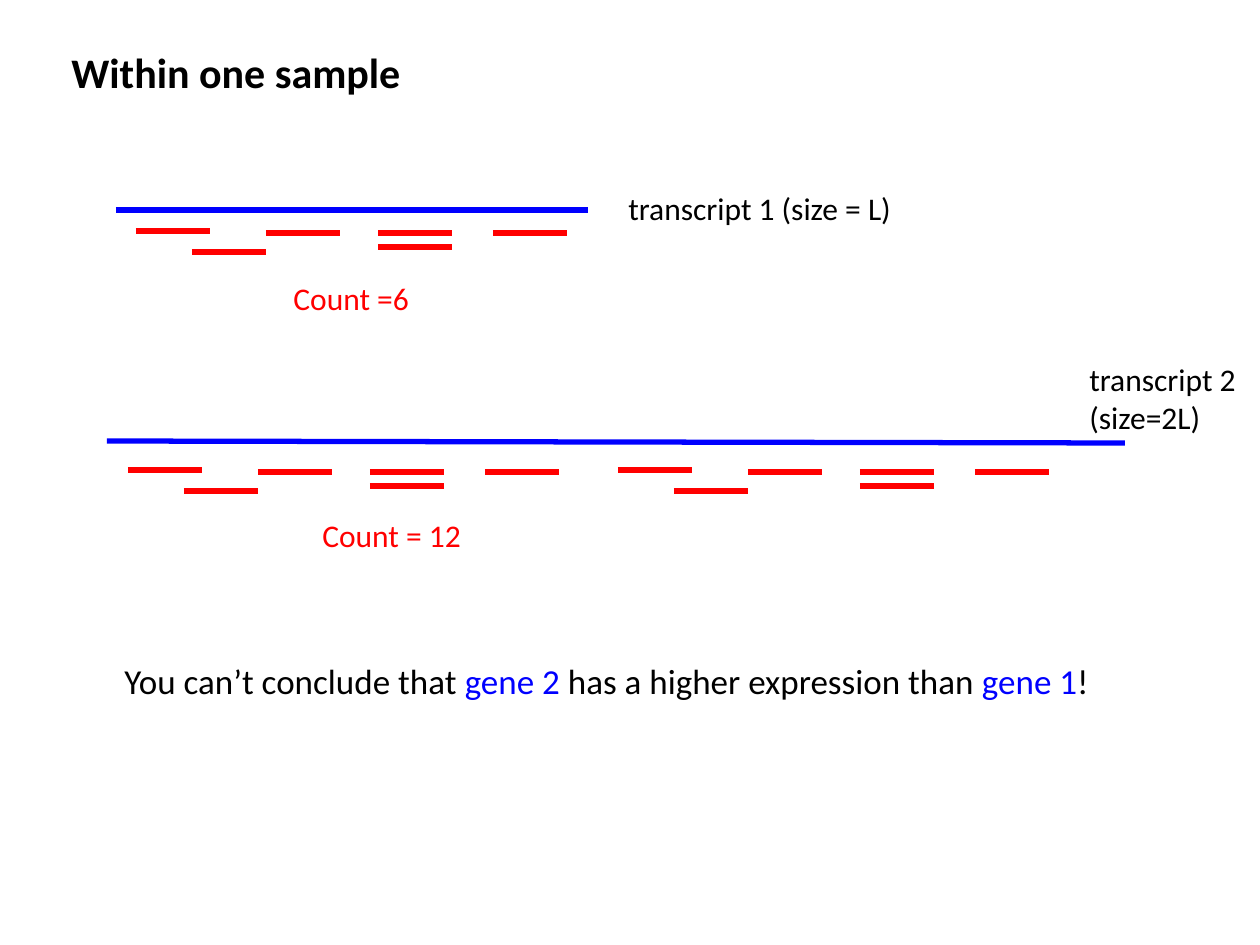
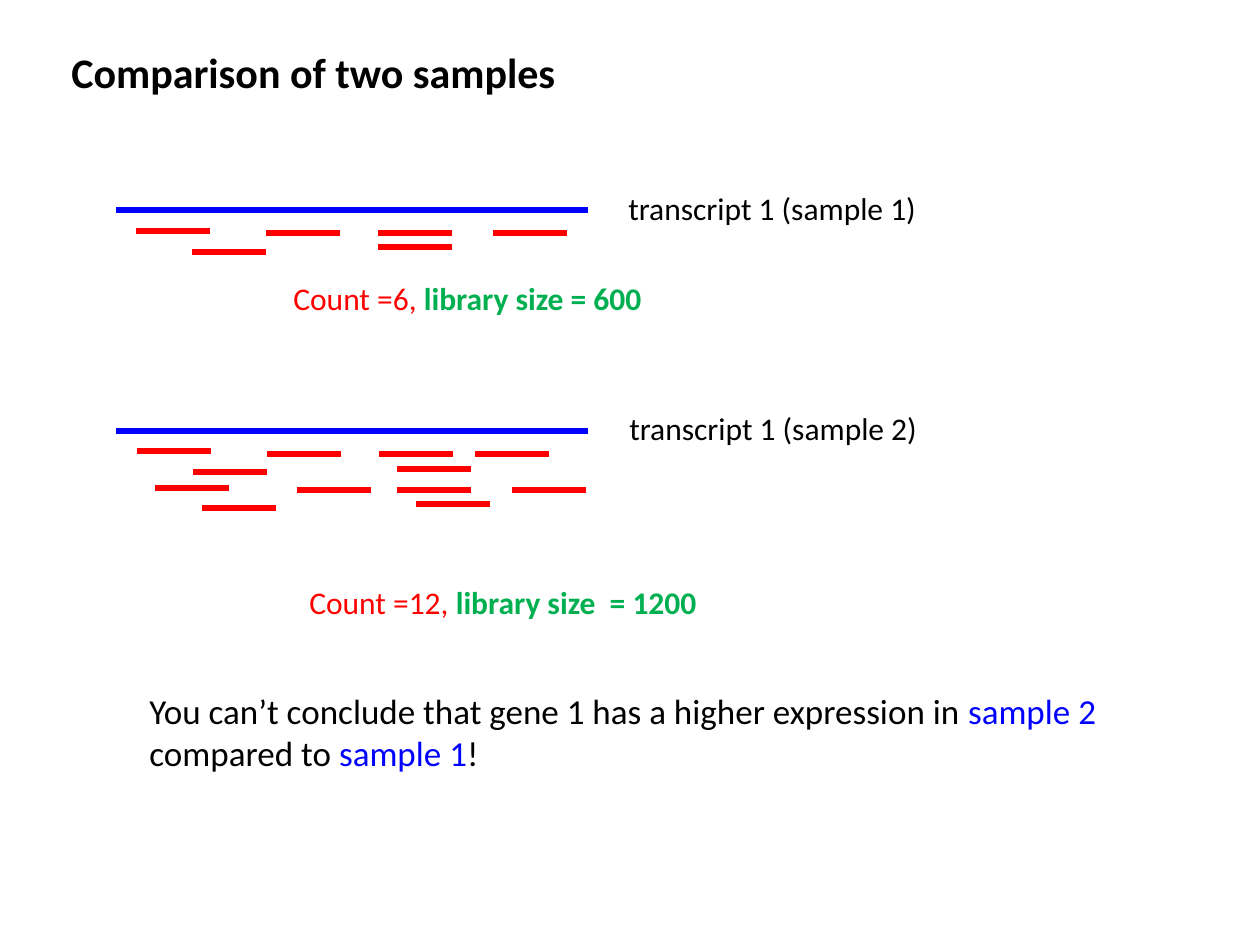
"""Builds two slides on why read counts need normalising within and between samples."""
from dataclasses import dataclass

from lxml import etree
from pptx import Presentation
from pptx.dml.color import RGBColor
from pptx.enum.shapes import MSO_CONNECTOR
from pptx.enum.text import MSO_AUTO_SIZE
from pptx.oxml.ns import qn
from pptx.util import Pt

STRAIGHT = MSO_CONNECTOR.STRAIGHT
GROW = MSO_AUTO_SIZE.SHAPE_TO_FIT_TEXT
PX = 914400 / 126
READ_LENGTH = 74


@dataclass(frozen=True)
class Theme:
    font: str = "Calibri"
    ink: str = "000000"
    transcript: str = "0000FF"
    read: str = "FF0000"
    library: str = "00B050"
    title: int = 24
    label: int = 18
    conclusion: int = 20
    line: int = 3


THEME = Theme()
INK, BLUE, RED, GREEN = THEME.ink, THEME.transcript, THEME.read, THEME.library


def add_line(page, start_x, start_y, end_x, end_y, colour):
    ends = [round(value * PX) for value in (start_x, start_y, end_x, end_y)]
    line = page.shapes.add_connector(STRAIGHT, *ends)
    line.line.color.rgb = RGBColor.from_string(colour)
    line.line.width = Pt(THEME.line)
    etree.SubElement(line._element.spPr, qn("a:effectLst"))


def add_text(page, left, top, width, height, size, paragraphs):
    place = [round(value * PX) for value in (left, top, width, height)]
    frame = page.shapes.add_textbox(*place).text_frame
    frame.word_wrap = False
    frame.auto_size = GROW
    for index, spans in enumerate(paragraphs):
        para = frame.add_paragraph() if index else frame.paragraphs[0]
        for text, colour in spans:
            span = para.add_run()
            span.text = text
            span.font.name = THEME.font
            span.font.size = Pt(size)
            span.font.bold = size == THEME.title or colour == GREEN
            span.font.color.rgb = RGBColor.from_string(colour)


SIX_READS = [(0, 0), (56, 21), (130, 2), (242, 2), (242, 16), (357, 2)]
UPPER_READS = [(0, 0), (56, 21), (130, 3), (242, 3), (260, 18), (338, 3)]
LOWER_READS = [(0, 0), (47, 20), (142, 2), (242, 2), (261, 16), (357, 2)]
FIRST_TRANSCRIPT = (116, 210, 588, 210)
FIRST_READS = (136, 231, SIX_READS)

SLIDES = [
    {
        "title": ("Within one sample", 358),
        "transcripts": [FIRST_TRANSCRIPT, (107, 441, 1125, 443)],
        "reads": [FIRST_READS, (128, 470, SIX_READS), (618, 470, SIX_READS)],
        "labels": [
            (616, 183, 291, 50, [[("transcript 1 (size = L)", INK)]]),
            (1077, 354, 174, 89, [[("transcript 2", INK)], [("(size=2L)", INK)]]),
            (281, 273, 142, 50, [[("Count =6", RED)]]),
            (310, 510, 166, 50, [[("Count = 12", RED)]]),
        ],
        "conclusion": (112, 653, 1005, 55, [
            [("You can’t conclude that ", INK), ("gene 2", BLUE),
             (" has a higher expression than ", INK), ("gene 1", BLUE), ("!", INK)],
        ]),
    },
    {
        "title": ("Comparison of two samples", 514),
        "transcripts": [FIRST_TRANSCRIPT, (116, 431, 588, 431)],
        "reads": [FIRST_READS, (137, 451, UPPER_READS), (155, 488, LOWER_READS)],
        "labels": [
            (616, 183, 316, 50, [[("transcript 1 (sample 1)", INK)]]),
            (617, 403, 316, 50, [[("transcript 1 (sample 2)", INK)]]),
            (281, 273, 377, 50, [[("Count =6, ", RED), ("library size = 600", GREEN)]]),
            (297, 577, 417, 50, [[("Count =12, ", RED), ("library size  = 1200", GREEN)]]),
        ],
        "conclusion": (137, 683, 989, 97, [
            [("You can’t conclude that gene 1 has a higher expression in ", INK),
             ("sample 2", BLUE)],
            [("compared to ", INK), ("sample 1", BLUE), ("!", INK)],
        ]),
    },
]

deck = Presentation()
deck.slide_width = round(1260 * PX)
deck.slide_height = round(945 * PX)
blank = deck.slide_layouts[6]

for content in SLIDES:
    page = deck.slides.add_slide(blank)
    title, title_width = content["title"]
    add_text(page, 59, 40, title_width, 64, THEME.title, [[(title, INK)]])
    for transcript in content["transcripts"]:
        add_line(page, *transcript, BLUE)
    for left, top, offsets in content["reads"]:
        for across, down in offsets:
            x, y = left + across, top + down
            add_line(page, x, y, x + READ_LENGTH, y, RED)
    for *place, paragraphs in content["labels"]:
        add_text(page, *place, THEME.label, paragraphs)
    *place, paragraphs = content["conclusion"]
    add_text(page, *place, THEME.conclusion, paragraphs)

deck.save("out.pptx")
